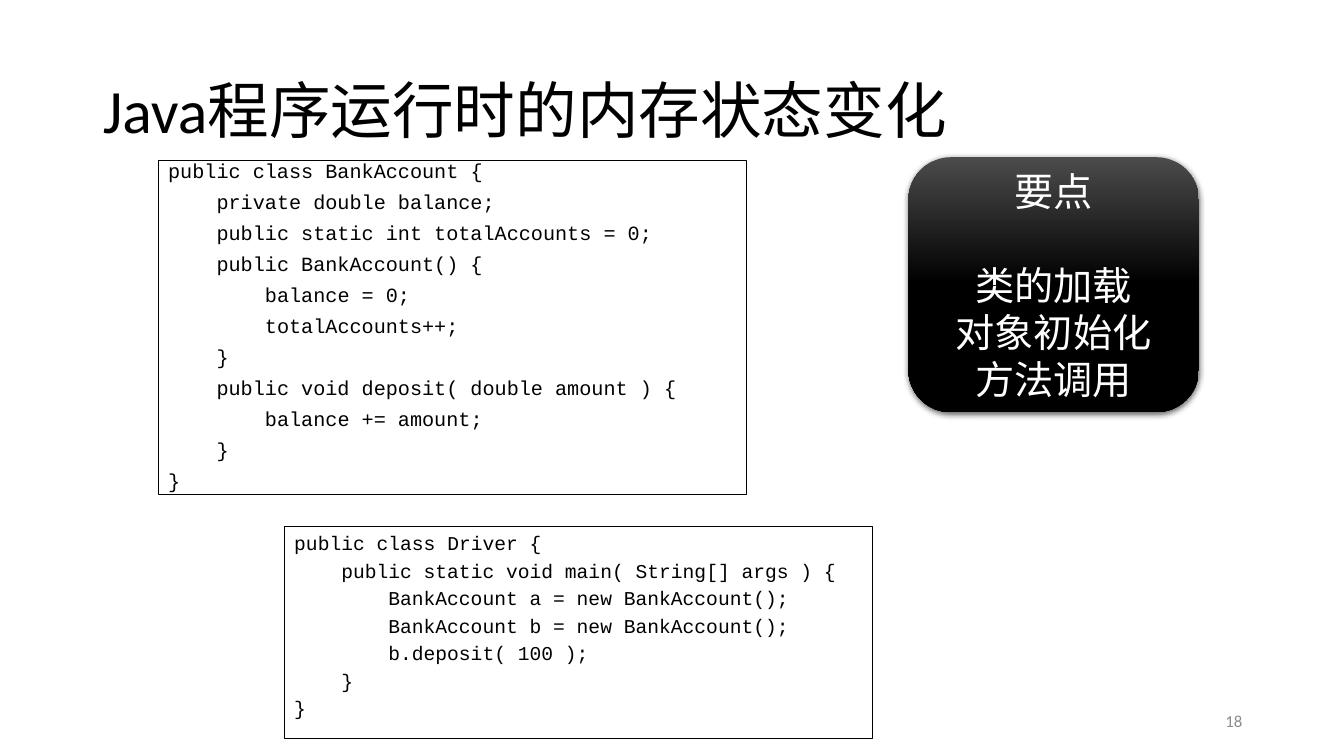
from dataclasses import dataclass

from lxml import etree
from pptx import Presentation
from pptx.dml.color import RGBColor
from pptx.enum.shapes import MSO_SHAPE
from pptx.enum.text import MSO_ANCHOR, PP_ALIGN
from pptx.oxml.ns import qn
from pptx.util import Inches, Pt

RECTANGLE, ROUNDED = MSO_SHAPE.RECTANGLE, MSO_SHAPE.ROUNDED_RECTANGLE
TOP, MIDDLE = MSO_ANCHOR.TOP, MSO_ANCHOR.MIDDLE
LEFT, CENTER, RIGHT = PP_ALIGN.LEFT, PP_ALIGN.CENTER, PP_ALIGN.RIGHT


@dataclass(frozen=True)
class Theme:
    """Colours, fonts and type sizes of the slide."""
    black: RGBColor = RGBColor(0, 0, 0)
    white: RGBColor = RGBColor(255, 255, 255)
    charcoal: RGBColor = RGBColor(0x4B, 0x4B, 0x4B)
    gray: RGBColor = RGBColor(0x8C, 0x8C, 0x8C)
    text_font: str = "Calibri"
    code_font: str = "Courier New"
    title_size: float = 44
    card_size: float = 28
    class_code_size: float = 14.4
    driver_code_size: float = 14
    number_size: float = 12


THEME = Theme()
CODE_INDENT_EMS = 4 * 0.6

CLASS_CODE = [
    (0, "public class BankAccount {"),
    (1, "private double balance;"),
    (1, "public static int totalAccounts = 0;"),
    (1, "public BankAccount() {"),
    (2, "balance = 0;"),
    (2, "totalAccounts++;"),
    (1, "}"),
    (1, "public void deposit( double amount ) {"),
    (2, "balance += amount;"),
    (1, "}"),
    (0, "}"),
]
DRIVER_CODE = [
    (0, "public class Driver {"),
    (1, "public static void main( String[] args ) {"),
    (2, "BankAccount a = new BankAccount();"),
    (2, "BankAccount b = new BankAccount();"),
    (2, "b.deposit( 100 );"),
    (1, "}"),
    (0, "}"),
]
KEY_POINTS = ["类的加载", "对象初始化", "方法调用"]


def write_lines(shape, lines, size, color, font, alignment, anchor):
    """Fill a shape with one paragraph per line and return the paragraphs."""
    frame = shape.text_frame
    frame.word_wrap = True
    frame.vertical_anchor = anchor
    frame.text = "\n".join(lines)
    for paragraph in frame.paragraphs:
        paragraph.alignment = alignment
        paragraph.font.size = Pt(size)
        paragraph.font.name = font
        paragraph.font.color.rgb = color
    return frame.paragraphs


def add_title(slide, box, text):
    """Place and format the title placeholder."""
    title = slide.shapes.title
    title.left, title.top, title.width, title.height = map(Inches, box)
    paragraph, = write_lines(title, [text], THEME.title_size, THEME.black,
                             THEME.text_font, LEFT, MIDDLE)
    paragraph.line_spacing = 0.9


def add_code(slide, box, code, size, line_spacing, space_before):
    """Add an outlined code listing indented by nesting level."""
    panel = slide.shapes.add_shape(RECTANGLE, *map(Inches, box))
    panel.shadow.inherit = False
    panel.fill.solid()
    panel.fill.fore_color.rgb = THEME.white
    panel.line.color.rgb = THEME.black
    panel.line.width = Pt(0.75)
    paragraphs = write_lines(panel, [line for _, line in code], size,
                             THEME.black, THEME.code_font, LEFT, TOP)
    for paragraph, (level, _) in zip(paragraphs, code):
        paragraph.line_spacing = line_spacing
        paragraph.space_before = Pt(space_before)
        margin = Pt(level * CODE_INDENT_EMS * size)
        paragraph._p.get_or_add_pPr().set("marL", str(margin))


def add_soft_shadow(shape):
    """Give a shape a soft shadow falling straight down."""
    shape.shadow.inherit = False
    effects = shape._element.spPr.find(qn("a:effectLst"))
    shadow = etree.SubElement(effects, qn("a:outerShdw"), blurRad=str(Pt(4.5)),
                              dist=str(Pt(1.5)), dir="5400000", rotWithShape="0")
    color = etree.SubElement(shadow, qn("a:srgbClr"), val=str(THEME.black))
    etree.SubElement(color, qn("a:alpha"), val="63000")


def add_key_card(slide, box, heading, points):
    """Add the dark rounded card with a heading and its points."""
    card = slide.shapes.add_shape(ROUNDED, *map(Inches, box))
    card.fill.gradient()
    card.fill.gradient_angle = 270
    stops = zip(card.fill.gradient_stops, (0, 0.5), (THEME.charcoal, THEME.black))
    for stop, position, color in stops:
        stop.position = position
        stop.color.rgb = color
    card.line.fill.background()
    add_soft_shadow(card)
    paragraphs = write_lines(card, [heading, *points], THEME.card_size,
                             THEME.white, THEME.text_font, CENTER, MIDDLE)
    paragraphs[1].space_before = Pt(1.2 * THEME.card_size)


def add_slide_number(slide, box, number):
    """Add the page number at the lower right."""
    text_box = slide.shapes.add_textbox(*map(Inches, box))
    write_lines(text_box, [number], THEME.number_size, THEME.gray,
                THEME.text_font, RIGHT, MIDDLE)


def main():
    """Build and save the slide."""
    presentation = Presentation()
    presentation.slide_width = Inches(13.33)
    presentation.slide_height = Inches(7.5)
    slide = presentation.slides.add_slide(presentation.slide_layouts[5])
    add_title(slide, (0.92, 0.4, 11.5, 1.45), "Java程序运行时的内存状态变化")
    add_code(slide, (1.57, 1.59, 5.83, 3.32), CLASS_CODE,
             THEME.class_code_size, 0.7, 10)
    add_code(slide, (2.82, 5.22, 5.83, 2.11), DRIVER_CODE,
             THEME.driver_code_size, 1, 0.2 * THEME.driver_code_size)
    add_key_card(slide, (9.01, 1.56, 2.88, 2.53), "要点", KEY_POINTS)
    add_slide_number(slide, (9.42, 6.95, 3, 0.4), "18")
    presentation.save("out.pptx")


if __name__ == "__main__":
    main()
